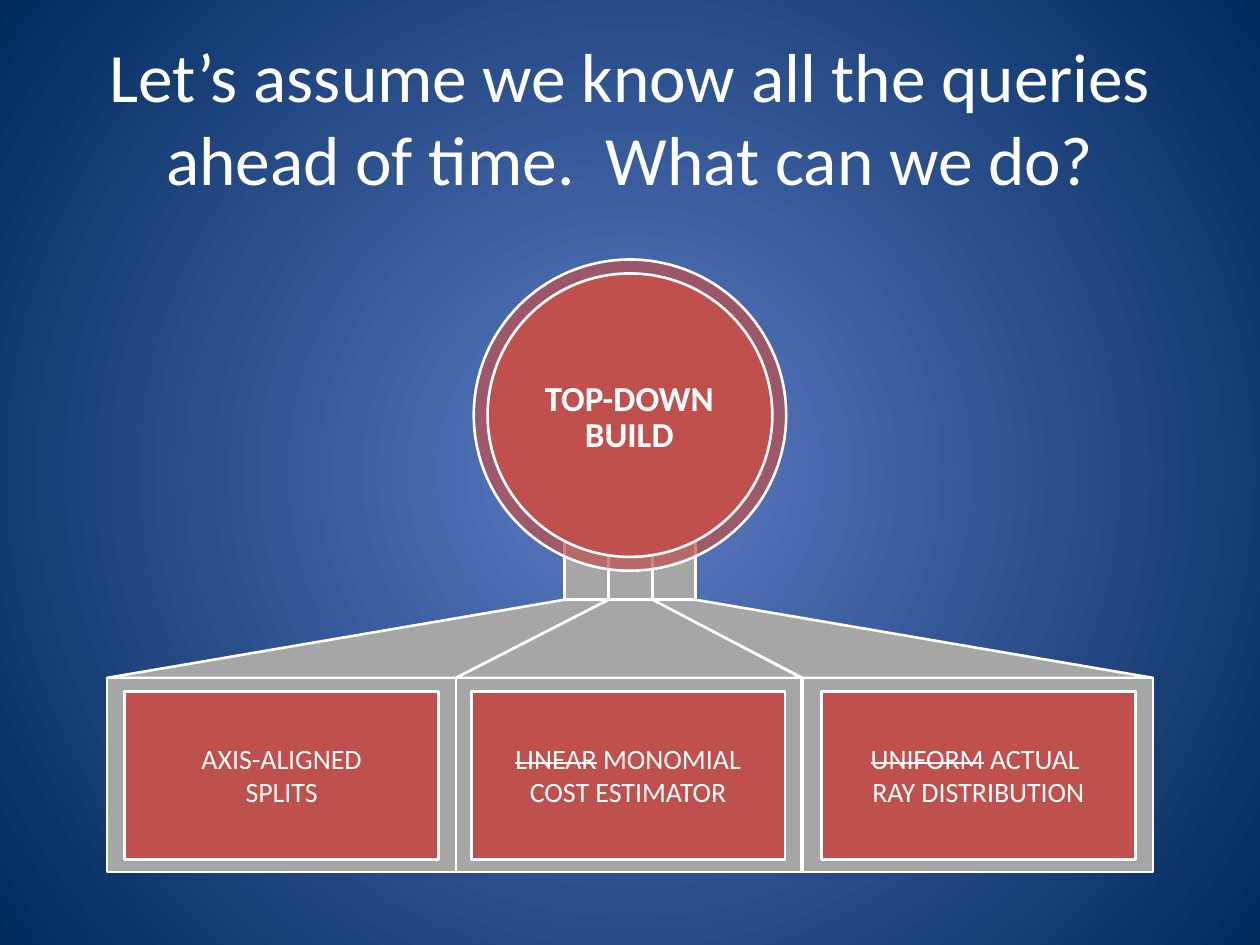
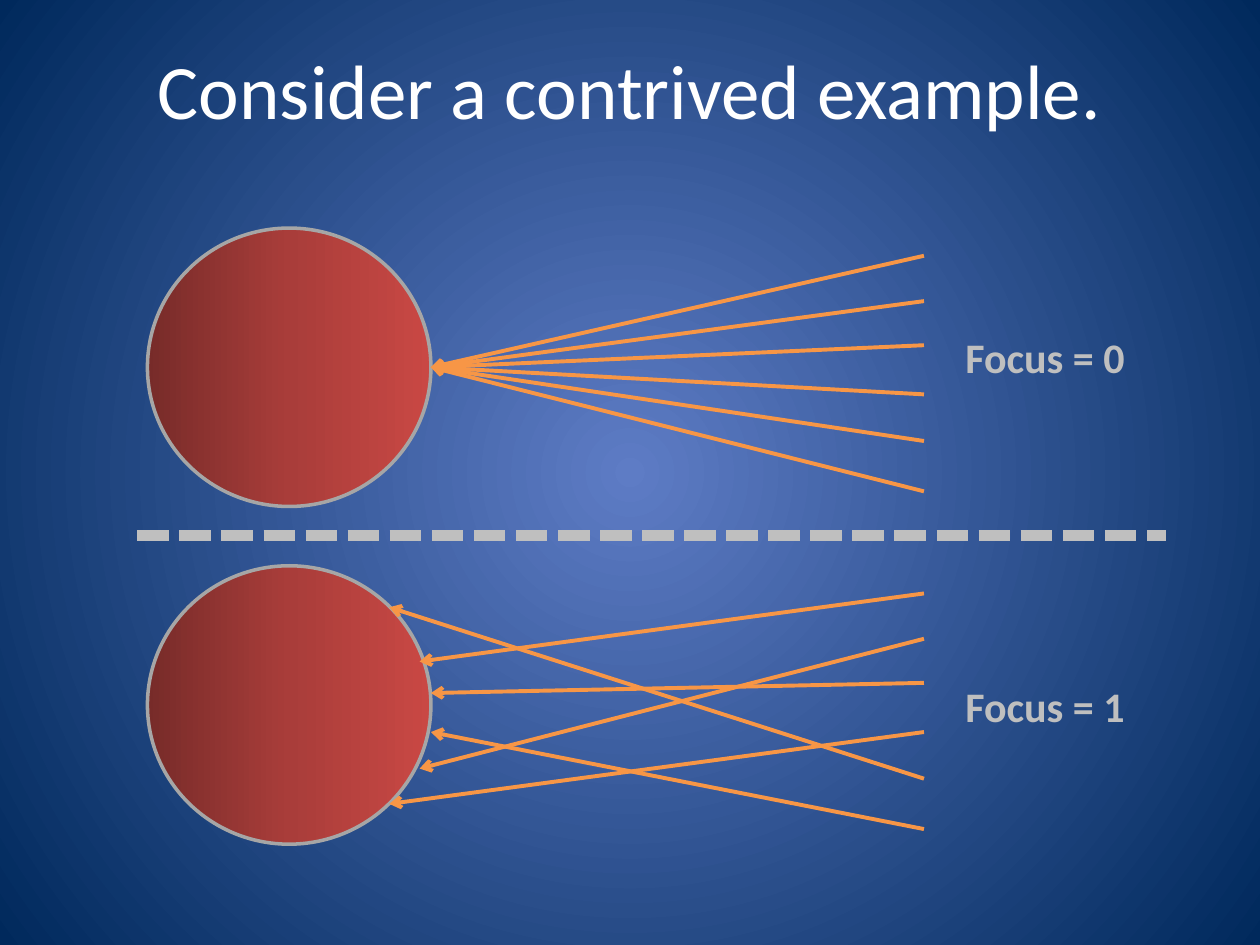
from dataclasses import dataclass

from lxml.etree import SubElement
from pptx import Presentation
from pptx.dml.color import RGBColor
from pptx.enum.dml import MSO_LINE
from pptx.enum.shapes import MSO_CONNECTOR, MSO_SHAPE
from pptx.enum.text import MSO_ANCHOR, MSO_AUTO_SIZE, PP_ALIGN
from pptx.oxml.ns import qn
from pptx.shapes.autoshape import Shape
from pptx.shapes.connector import Connector
from pptx.slide import Slide
from pptx.text.text import Font
from pptx.util import Pt

FONT = "Calibri"
WHITE = "FFFFFF"
GRAY = "A6A6A6"
LIGHT_GRAY = "BFBFBF"
RED = "C0504D"
ORANGE = "F79646"
BACKGROUND_STOPS = [(0, "5E7CC5"), (100, "00295C")]
SPHERE_STOPS = [(0, "772B29"), (50, "A93D3A"), (100, "C94844")]

# Slide 1: pillars, ramps and boxes stacked below the circle
PILLAR_TOP, RAMP_TOP, BOX_TOP, BOX_BOTTOM = 235.44, 342.72, 387.36, 498.24
PILLAR_WIDTH = 25.2
PANEL_TOP, PANEL_WIDTH, PANEL_HEIGHT = 395.28, 179.28, 95.76

# Slide 2: a sphere with rays coming in from the right
SPHERE_LEFT, SPHERE_WIDTH, SPHERE_HEIGHT = 84.24, 162, 159.12
SPHERE_RIGHT = SPHERE_LEFT + SPHERE_WIDTH
RAY_START = 528
RAY_OFFSETS = [15.84, 41.76, 66.96, 95.04, 121.68, 150.48]


@dataclass
class Frame:
    left: float
    top: float
    width: float
    height: float

    def lengths(self) -> tuple[Pt, Pt, Pt, Pt]:
        return Pt(self.left), Pt(self.top), Pt(self.width), Pt(self.height)


@dataclass
class Label:
    frame: Frame
    lines: list[str]
    size: float
    color: str = WHITE
    bold: bool = False
    spacing: float = 1.0
    struck: str = ""


@dataclass
class Branch:
    pillar_left: float
    box_left: float
    box_right: float
    panel_left: float
    lines: list[str]
    struck: str = ""


@dataclass
class Scene:
    sphere_top: float
    label_top: float
    caption: str
    hits: list[tuple[float, float]]  # x on the slide, y below the sphere's top


BRANCHES = [
    Branch(372.24, 458.64, 658.8, 469.44, [" ACTUAL ", "RAY DISTRIBUTION"], "UNIFORM"),
    Branch(322.56, 61.2, 260.64, 71.28, ["AXIS-ALIGNED", "SPLITS"]),
    Branch(347.76, 260.64, 457.92, 269.28, [" MONOMIAL", "COST ESTIMATOR"], "LINEAR"),
]

SCENES = [
    Scene(130.32, 183.6, "Focus = 0",
          [(SPHERE_RIGHT, SPHERE_HEIGHT / 2)] * len(RAY_OFFSETS)),
    Scene(323.28, 383.04, "Focus = 1",
          [(239.76, 54.72), (239.76, 115.92), (SPHERE_RIGHT, 72.72),
           (222.48, 136.08), (222.48, 23.76), (SPHERE_RIGHT, 95.04)]),
]


def rgb(color: str) -> RGBColor:
    return RGBColor.from_string(color)


def set_font(font: Font, size: float, color: str, bold: bool = False) -> None:
    font.name = FONT
    font.size = Pt(size)
    font.bold = bold
    font.color.rgb = rgb(color)


def set_gradient(owner, fill, stops: list[tuple[int, str]], radial: bool) -> None:
    """Give the fill of owner its stops, radial from the middle or left to right."""
    fill.gradient()
    gradient = next(owner.element.iter(qn("a:gradFill")))
    for child in list(gradient):
        gradient.remove(child)
    stop_list = SubElement(gradient, qn("a:gsLst"))
    for position, color in stops:
        stop = SubElement(stop_list, qn("a:gs"), pos=str(position * 1000))
        SubElement(stop, qn("a:srgbClr"), val=color)
    if radial:
        circle = SubElement(gradient, qn("a:path"), path="circle")
        SubElement(circle, qn("a:fillToRect"), l="50000", t="50000", r="50000", b="50000")
    else:
        SubElement(gradient, qn("a:lin"), ang="0", scaled="0")


def set_outline(shape: Shape, color: str, width: float) -> None:
    shape.shadow.inherit = False
    shape.line.color.rgb = rgb(color)
    shape.line.width = Pt(width)


def paint(shape: Shape, fill: str, opacity: int = 100) -> None:
    set_outline(shape, WHITE, 1.5)
    shape.fill.solid()
    shape.fill.fore_color.rgb = rgb(fill)
    if opacity < 100:
        color = shape.element.spPr.find(qn("a:solidFill")).find(qn("a:srgbClr"))
        SubElement(color, qn("a:alpha"), val=str(opacity * 1000))


def add_block(slide: Slide, kind: MSO_SHAPE, frame: Frame, fill: str, opacity: int = 100) -> None:
    paint(slide.shapes.add_shape(kind, *frame.lengths()), fill, opacity)


def add_line(slide: Slide, start: tuple[float, float], end: tuple[float, float],
             color: str, width: float) -> Connector:
    points = [Pt(value) for value in (*start, *end)]
    line = slide.shapes.add_connector(MSO_CONNECTOR.STRAIGHT, *points)
    line.line.color.rgb = rgb(color)
    line.line.width = Pt(width)
    SubElement(line.element.spPr, qn("a:effectLst"))
    return line


def add_label(slide: Slide, label: Label) -> None:
    text_frame = slide.shapes.add_textbox(*label.frame.lengths()).text_frame
    text_frame.word_wrap = True
    text_frame.vertical_anchor = MSO_ANCHOR.MIDDLE
    if label.struck:
        span = text_frame.paragraphs[0].add_run()
        span.text = label.struck
        span.font._element.set("strike", "sngStrike")
    for index, line in enumerate(label.lines):
        para = text_frame.add_paragraph() if index else text_frame.paragraphs[0]
        para.add_run().text = line
        para.alignment = PP_ALIGN.CENTER
        para.line_spacing = label.spacing
        for span in para.runs:
            set_font(span.font, label.size, label.color, label.bold)


def add_titled_slide(deck: Presentation, text: str, top: float, size: float) -> Slide:
    slide = deck.slides.add_slide(deck.slide_layouts[5])
    title = slide.shapes.title
    title.left, title.top, title.width, title.height = Frame(36, top, 648, 90).lengths()
    title.text_frame.text = text
    title.text_frame.auto_size = MSO_AUTO_SIZE.NONE
    title.text_frame.vertical_anchor = MSO_ANCHOR.MIDDLE
    para = title.text_frame.paragraphs[0]
    para.alignment = PP_ALIGN.CENTER
    set_font(para.runs[0].font, size, WHITE)
    return slide


def add_branch(slide: Slide, branch: Branch) -> None:
    pillar_right = branch.pillar_left + PILLAR_WIDTH
    add_block(slide, MSO_SHAPE.RECTANGLE,
              Frame(branch.pillar_left, PILLAR_TOP, PILLAR_WIDTH, RAMP_TOP - PILLAR_TOP), GRAY)

    ramp = slide.shapes.build_freeform(Pt(branch.box_left), Pt(BOX_TOP))
    corners = [(branch.pillar_left, RAMP_TOP), (pillar_right, RAMP_TOP),
               (branch.box_right, BOX_TOP)]
    ramp.add_line_segments([(Pt(x), Pt(y)) for x, y in corners], close=True)
    paint(ramp.convert_to_shape(), GRAY)

    add_block(slide, MSO_SHAPE.RECTANGLE,
              Frame(branch.box_left, BOX_TOP, branch.box_right - branch.box_left,
                    BOX_BOTTOM - BOX_TOP), GRAY)
    add_block(slide, MSO_SHAPE.RECTANGLE,
              Frame(branch.panel_left, PANEL_TOP, PANEL_WIDTH, PANEL_HEIGHT), RED)


def add_scene(slide: Slide, scene: Scene) -> None:
    frame = Frame(SPHERE_LEFT, scene.sphere_top, SPHERE_WIDTH, SPHERE_HEIGHT)
    sphere = slide.shapes.add_shape(MSO_SHAPE.OVAL, *frame.lengths())
    set_gradient(sphere, sphere.fill, SPHERE_STOPS, radial=False)
    set_outline(sphere, GRAY, 2)
    for offset, (hit_x, hit_y) in zip(RAY_OFFSETS, scene.hits):
        ray = add_line(slide, (RAY_START, scene.sphere_top + offset),
                       (hit_x, scene.sphere_top + hit_y), ORANGE, 2.25)
        SubElement(ray.element.spPr.find(qn("a:ln")), qn("a:tailEnd"), type="arrow")


def build_top_down_slide(deck: Presentation) -> None:
    slide = add_titled_slide(
        deck, "Let’s assume we know all the queries ahead of time.  What can we do?", 21.6, 39.6)
    for branch in BRANCHES:
        add_branch(slide, branch)
    for branch in BRANCHES:
        add_label(slide, Label(Frame(branch.panel_left, 419.76, PANEL_WIDTH, 46.08),
                               branch.lines, 16, struck=branch.struck))
    add_block(slide, MSO_SHAPE.OVAL, Frame(270.72, 148.32, 178.56, 177.84), RED, opacity=70)
    add_block(slide, MSO_SHAPE.OVAL, Frame(278.64, 156.24, 162.72, 162), RED)
    add_label(slide, Label(Frame(293.76, 215.28, 131.76, 48.24), ["TOP-DOWN", "BUILD"],
                           20, bold=True, spacing=0.85))


def build_focus_slide(deck: Presentation) -> None:
    slide = add_titled_slide(deck, "Consider a contrived example.", 5.76, 44)
    for scene in SCENES:
        add_scene(slide, scene)
    divider = add_line(slide, (78.48, 306), (666, 306), LIGHT_GRAY, 6)
    divider.line.dash_style = MSO_LINE.SQUARE_DOT
    for scene in SCENES:
        add_label(slide, Label(Frame(RAY_START, scene.label_top, 138.24, 40.32),
                               [scene.caption], 24, LIGHT_GRAY, bold=True))


def main() -> None:
    deck = Presentation()
    deck.slide_width, deck.slide_height = Pt(720), Pt(540)
    master = deck.slide_master
    set_gradient(master, master.background.fill, BACKGROUND_STOPS, radial=True)
    build_top_down_slide(deck)
    build_focus_slide(deck)
    deck.save("out.pptx")


if __name__ == "__main__":
    main()
